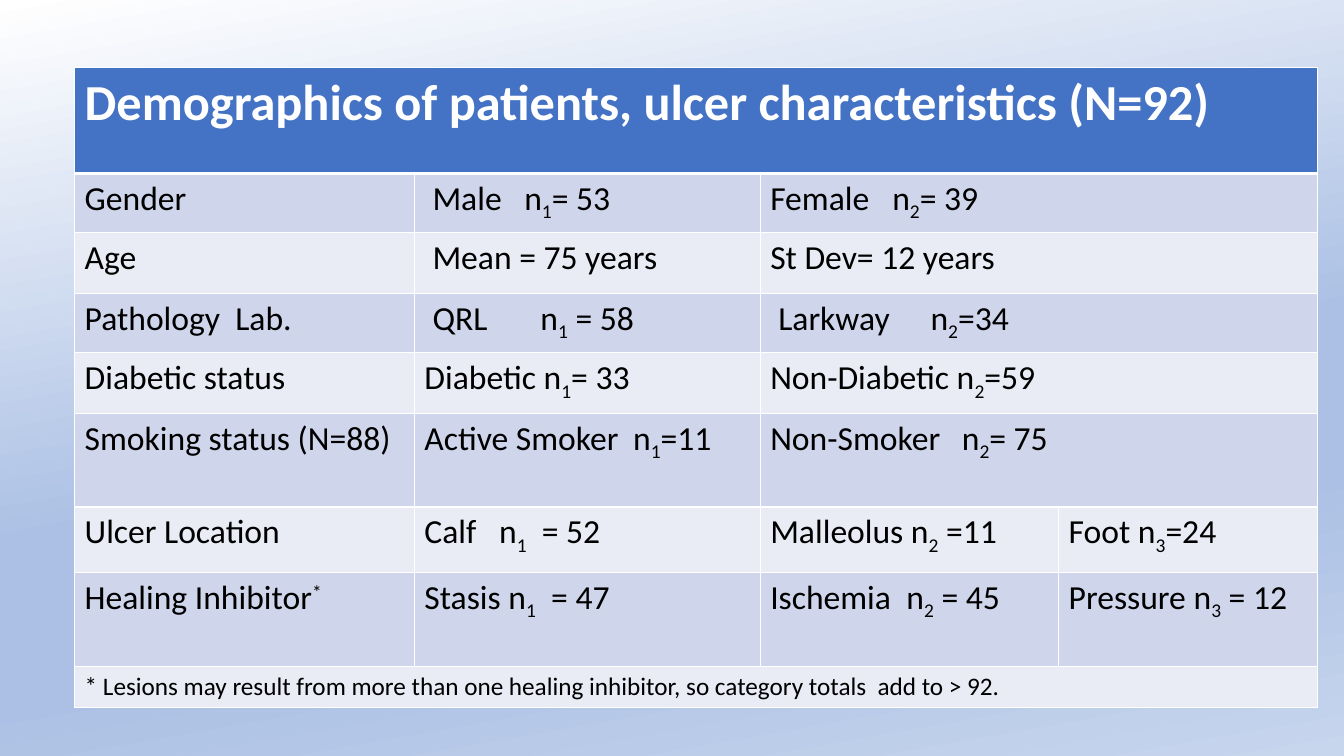
from dataclasses import dataclass
from lxml.etree import SubElement
from pptx import Presentation
from pptx.dml.color import RGBColor as Color
from pptx.oxml import parse_xml
from pptx.oxml.ns import nsdecls, qn
from pptx.util import Inches, Pt


@dataclass(frozen=True)
class Theme:
    font: str = "Calibri"
    header: str = "4472C4"
    bands: tuple = ("E9EBF5", "CFD5EA")
    text: str = "000000"
    white: str = "FFFFFF"
    sky: tuple = ((0, "FFFFFF"), (55, "ABC0E4"), (71, "ABC0E4"), (100, "C7D5ED"))
    sky_angle: int = 80
    title_size: int = 36
    body_size: int = 24
    note_size: int = 18


theme = Theme()
COLUMNS = (3.37, 3.43, 2.96, 2.57)
HEIGHTS = (1.05, 0.59, 0.6, 0.59, 0.6, 0.93, 0.65, 0.93, 0.41)
INSET = 0.1
INDENT = 0.18
ROWS = (
    ("Demographics of patients, ulcer characteristics (N=92)",),
    ("Gender", "Male\tn|1|= 53", "Female\tn|2|= 39"),
    ("Age", "Mean = 75 years", "St Dev= 12 years"),
    ("Pathology  Lab.", "QRL\tn|1| = 58", "Larkway\tn|2|=34"),
    ("Diabetic status", "Diabetic n|1|= 33", "Non-Diabetic n|2|=59"),
    ("Smoking status (N=88)", "Active Smoker\tn|1|=11", "Non-Smoker\tn|2|= 75"),
    ("Ulcer Location", "Calf\tn|1|  = 52", "Malleolus n|2| =11", "Foot n|3|=24"),
    ("Healing Inhibitor|*", "Stasis n|1|  = 47", "Ischemia\tn|2| = 45", "Pressure n|3| = 12"),
    ("* Lesions may result from more than one healing inhibitor, so category totals  add to > 92.",),
)
TABS = {(1, 1): 0.91, (1, 2): 1.21, (3, 1): 1.07, (3, 2): 1.51,
        (5, 1): 2.07, (5, 2): 1.9, (6, 1): 0.74, (7, 2): 1.35}
INDENTED = {(1, 1), (2, 1), (3, 1), (3, 2)}


def write_cell(cell, text, size, color, bold, tab):
    para = cell.text_frame.paragraphs[0]
    if tab:
        stops = SubElement(para._p.get_or_add_pPr(), qn("a:tabLst"))
        SubElement(stops, qn("a:tab"), pos=str(Inches(tab)), algn="l")
    para.font.name = theme.font
    para.font.size = Pt(size)
    para.font.bold = bold
    para.font.color.rgb = Color.from_string(color)
    for index, part in enumerate(text.split("|")):
        span = para.add_run()
        span.text = part
        if index == 1:
            span.font._element.set("baseline", "30000" if part == "*" else "-25000")


def style_cell(cell, fill, top, bottom):
    cell.fill.solid()
    cell.fill.fore_color.rgb = Color.from_string(fill)
    edges = (("L", 1), ("R", 1), ("T", top), ("B", bottom))
    for index, (side, width) in enumerate(edges):
        cell._tc.get_or_add_tcPr().insert(index, parse_xml(
            f'<a:ln{side} {nsdecls("a")} w="{Pt(width)}"><a:solidFill>'
            f'<a:srgbClr val="{theme.white}"/></a:solidFill></a:ln{side}>'))


deck = Presentation()
deck.slide_width, deck.slide_height = Inches(13.33), Inches(7.5)
page = deck.slides.add_slide(deck.slide_layouts[6])

page.background.fill.gradient()
stops = next(page.element.iter(qn("a:gsLst")))
stops.clear()
for position, color in theme.sky:
    stop = SubElement(stops, qn("a:gs"), pos=str(position * 1000))
    SubElement(stop, qn("a:srgbClr"), val=color)
next(page.element.iter(qn("a:lin"))).set("ang", str(theme.sky_angle * 60000))

frame = page.shapes.add_table(len(HEIGHTS), len(COLUMNS), Inches(0.74), Inches(0.67),
                              Inches(sum(COLUMNS)), Inches(sum(HEIGHTS)))
table = frame.table
for column, width in zip(table.columns, COLUMNS):
    column.width = Inches(width)

last_column = len(COLUMNS) - 1
last_row = len(ROWS) - 1
for r, texts in enumerate(ROWS):
    table.rows[r].height = Inches(HEIGHTS[r])
    fill = theme.bands[r % 2] if r else theme.header
    for cell in table.rows[r].cells:
        style_cell(cell, fill, 3 if r == 1 else 1, 1 if r else 3)
    if len(texts) <= last_column:
        table.cell(r, len(texts) - 1).merge(table.cell(r, last_column))
    size = {0: theme.title_size, last_row: theme.note_size}.get(r, theme.body_size)
    color = theme.text if r else theme.white
    for c, text in enumerate(texts):
        cell = table.cell(r, c)
        cell.margin_left = Inches(INDENT if (r, c) in INDENTED else INSET)
        write_cell(cell, text, size, color, r == 0, TABS.get((r, c)))

deck.save("out.pptx")
